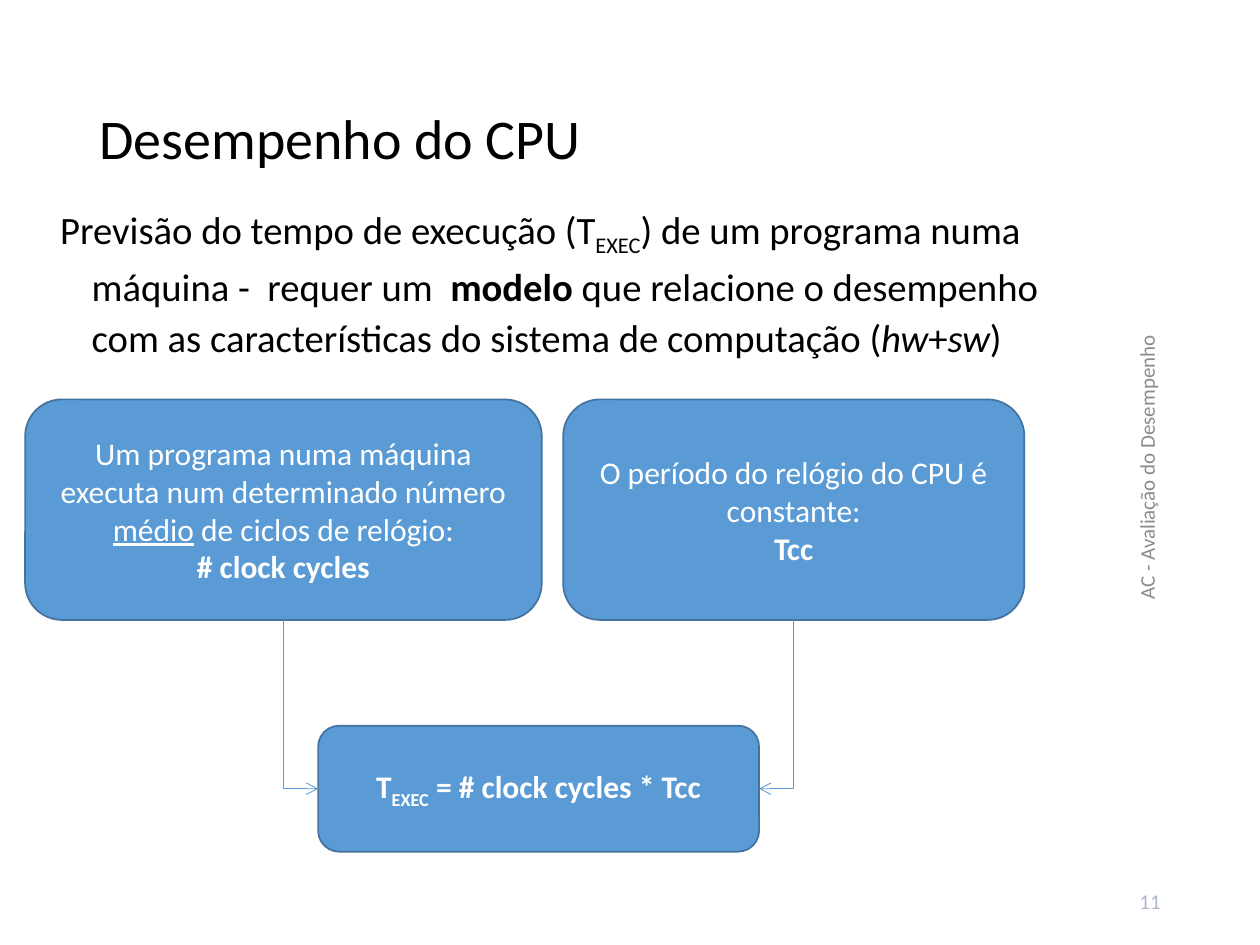
from lxml import etree
from pptx import Presentation
from pptx import util as u
from pptx.dml.color import RGBColor
from pptx.enum import shapes, text
from pptx.oxml.ns import qn

BLACK = RGBColor(0x00, 0x00, 0x00)
WHITE = RGBColor(0xFF, 0xFF, 0xFF)
BLUE = RGBColor(0x5B, 0x9B, 0xD5)
DARK_BLUE = RGBColor(0x43, 0x73, 0x9E)
PALE_BLUE = RGBColor(0xAD, 0xB9, 0xCA)
GREY = RGBColor(0x8C, 0x8C, 0x8C)
LEFT, CENTER, RIGHT = text.PP_ALIGN.LEFT, text.PP_ALIGN.CENTER, text.PP_ALIGN.RIGHT

# Content: a paragraph is a list of (words, styles); styles are b, i, u, sub
TITLE = [[("Desempenho do CPU", "")]]
BODY = [[
    ("Previsão do tempo de execução (T", ""), ("EXEC", "sub"),
    (") de um programa numa máquina -  requer um  ", ""), ("modelo ", "b"),
    ("que relacione o desempenho com as características do sistema de computação (", ""),
    ("hw", "i"), ("+", ""), ("sw", "i"), (")", ""),
]]
CYCLES = [
    [("Um programa numa máquina executa num determinado número ", ""),
     ("médio", "u"), (" de ciclos de relógio:", "")],
    [("# clock cycles", "b")],
]
PERIOD = [[("O período do relógio do CPU é constante:", "")], [("Tcc", "b")]]
RESULT = [[("T", "b"), ("EXEC", "b sub"), (" = # clock cycles * Tcc", "b")]]
FOOTER = [[("AC - Avaliação do Desempenho", "")]]
NUMBER = [[("11", "")]]

# Diagram grid, in inches
ROW_TOP, ROW_HEIGHT, ROW_GAP = 3.17, 1.75, 0.84
COLUMN_LEFT, COLUMN_GAP = 0.2, 0.17
FACTORS = [(CYCLES, 4.1), (PERIOD, 3.66)]
RESULT_SIZE = (3.5, 1)


def write(shape, paragraphs, size, color, align, anchor=text.MSO_ANCHOR.MIDDLE):
    frame = shape.text_frame
    frame.word_wrap = True
    frame.vertical_anchor = anchor
    for index, spans in enumerate(paragraphs):
        para = frame.add_paragraph() if index else frame.paragraphs[0]
        para.alignment = align
        para.font.name, para.font.size = "Calibri", u.Pt(size)
        para.font.color.rgb = color
        for words, styles in spans:
            span = para.add_run()
            span.text = words
            # Paragraph fonts need repeating on spans that set their own style
            for style in styles.split():
                if style == "b":
                    span.font.bold = True
                elif style == "i":
                    span.font.italic = True
                elif style == "u":
                    span.font.underline = True
                else:
                    span.font._element.set("baseline", "-25000")
    return frame.paragraphs[0]


def add_text(page, place, *style):
    box = page.shapes.add_textbox(*map(u.Inches, place))
    return box, write(box, *style)


def add_card(page, place, paragraphs):
    card = page.shapes.add_shape(shapes.MSO_SHAPE.ROUNDED_RECTANGLE, *map(u.Inches, place))
    card.shadow.inherit = False
    card.fill.solid()
    card.fill.fore_color.rgb = BLUE
    card.line.color.rgb = DARK_BLUE
    card.line.width = u.Pt(1)
    write(card, paragraphs, 18, WHITE, CENTER)
    return card


def add_bent_arrow(page, source, target, side):
    """Go down from the source, then sideways into the target's left (1) or right (3)."""
    start_x, start_y = source.left + source.width // 2, source.top + source.height
    end_x = target.left if side == 1 else target.left + target.width
    end_y = target.top + target.height // 2
    arrow = page.shapes.add_connector(shapes.MSO_CONNECTOR.ELBOW, start_x, start_y, end_x, end_y)
    arrow.begin_connect(source, 2)
    arrow.end_connect(target, side)
    arrow.line.color.rgb = BLUE
    arrow.line.width = u.Pt(0.5)
    # A one-bend connector starts sideways, so it is turned a quarter
    across, down = abs(end_x - start_x), end_y - start_y
    arrow.left = (start_x + end_x - down) // 2
    arrow.top = (start_y + end_y - across) // 2
    arrow.width, arrow.height = down, across
    properties = arrow._element.spPr
    frame = properties.find(qn("a:xfrm"))
    frame.set("rot", "16200000" if side == 1 else "5400000")
    frame.set("flipH", "1" if side == 1 else "0")
    properties.find(qn("a:prstGeom")).set("prst", "bentConnector2")
    etree.SubElement(arrow.line._get_or_add_ln(), qn("a:tailEnd"), type="arrow")
    etree.SubElement(properties, qn("a:effectLst"))


def main():
    deck = Presentation()
    deck.slide_width, deck.slide_height = u.Inches(10), u.Inches(7.5)
    page = deck.slides.add_slide(deck.slide_layouts[6])

    # Title and body
    _, title = add_text(page, (0.69, 0.4, 8.62, 1.45), TITLE, 32, BLACK, LEFT)
    title.line_spacing = 0.9
    _, body = add_text(page, (0.38, 1.54, 8.07, 1.38), BODY, 22.1, BLACK, LEFT,
                       text.MSO_ANCHOR.TOP)
    body.line_spacing, body.space_before = 1.1, u.Pt(10)
    indent = u.Inches(0.25)
    body._p.get_or_add_pPr().set("marL", str(indent))
    body._p.get_or_add_pPr().set("indent", str(-indent))

    # Page number and sideways footer
    add_text(page, (7.06, 6.95, 2.25, 0.4), NUMBER, 12, PALE_BLUE, RIGHT)
    footer, _ = add_text(page, (6.31, 3.51, 5.58, 0.4), FOOTER, 12, GREY, CENTER)
    footer.rotation = 270

    # Two factors side by side
    cards, centers, left = [], [], COLUMN_LEFT
    for paragraphs, width in FACTORS:
        cards.append(add_card(page, (left, ROW_TOP, width, ROW_HEIGHT), paragraphs))
        centers.append(left + width / 2)
        left += width + COLUMN_GAP

    # Their product, midway between the factors' centres
    width, height = RESULT_SIZE
    result_left = sum(centers) / 2 - width / 2
    result_top = ROW_TOP + ROW_HEIGHT + ROW_GAP
    result = add_card(page, (result_left, result_top, width, height), RESULT)
    for card, side in zip(cards, (1, 3)):
        add_bent_arrow(page, card, result, side)

    deck.save("out.pptx")


if __name__ == "__main__":
    main()
